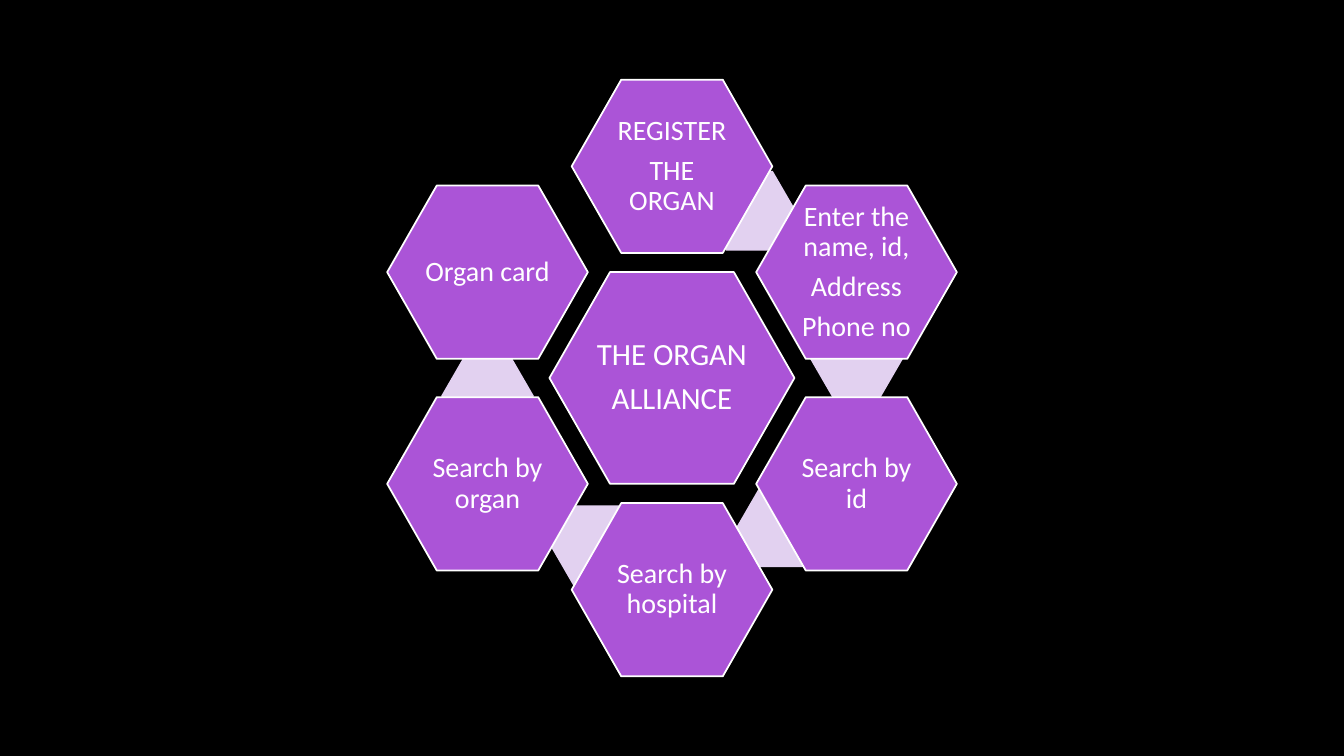
from dataclasses import dataclass

from pptx import Presentation
from pptx.dml.color import RGBColor
from pptx.enum.shapes import MSO_SHAPE
from pptx.enum.text import MSO_ANCHOR, PP_ALIGN
from pptx.util import Inches, Pt


@dataclass(frozen=True)
class Theme:
    background: str = "000000"
    hexagon: str = "AB54D7"
    link: str = "E2D1F0"
    text: str = "FFFFFF"
    font: str = "Calibri"
    hub_size: int = 22
    step_size: int = 20
    outline: float = 1.25
    inset: float = 0.03


class HoneycombSlide:
    """Places hexagons on a grid of columns and rows around the slide's centre."""

    COLUMN, ROW = 1.83, 1.05

    def __init__(self, deck, theme):
        self.theme = theme
        self.page = deck.slides.add_slide(deck.slide_layouts[6])
        self.center_x = deck.slide_width / 2
        self.center_y = deck.slide_height / 2
        fill = self.page.background.fill
        fill.solid()
        fill.fore_color.rgb = RGBColor.from_string(theme.background)

    def hexagon(self, column, row, width, height, color, slant):
        left = self.center_x + Inches(column * self.COLUMN - width / 2)
        top = self.center_y + Inches(row * self.ROW - height / 2)
        box = self.page.shapes.add_shape(
            MSO_SHAPE.HEXAGON, int(left), int(top), Inches(width), Inches(height))
        box.adjustments[0] = slant
        box.shadow.inherit = False
        box.fill.solid()
        box.fill.fore_color.rgb = RGBColor.from_string(color)
        box.line.fill.background()
        return box

    def link(self, column, row):
        self.hexagon(column, row, 0.92, 0.79, self.theme.link, 0.289)

    def cell(self, column, row, lines, size, width=1.99, height=1.72):
        theme = self.theme
        box = self.hexagon(column, row, width, height, theme.hexagon, 0.286)
        box.line.color.rgb = RGBColor.from_string(theme.text)
        box.line.width = Pt(theme.outline)
        frame = box.text_frame
        frame.word_wrap = True
        frame.vertical_anchor = MSO_ANCHOR.MIDDLE
        frame.margin_left = frame.margin_right = Inches(theme.inset)
        frame.margin_top = frame.margin_bottom = Inches(theme.inset)
        frame.text = "\n".join(lines)
        for para in frame.paragraphs:
            para.alignment = PP_ALIGN.CENTER
            para.line_spacing = 0.9
            para.space_after = Pt(0.35 * size)
            para.font.name = theme.font
            para.font.size = Pt(size)
            para.font.color.rgb = RGBColor.from_string(theme.text)


# Steps run clockwise: column, row, lines, place of the link to the next step
STEPS = [
    (0, -2, ["REGISTER", "THE ORGAN"], (0.42, -1.58)),
    (1, -1, ["Enter the name, id,", "Address", "Phone no"], (1, -0.18)),
    (1, 1, ["Search by id"], (0.6, 1.41)),
    (0, 2, ["Search by hospital"], (-0.41, 1.58)),
    (-1, 1, ["Search by organ"], (-1, 0.17)),
    (-1, -1, ["Organ card"], None),
]


def main():
    deck = Presentation()
    deck.slide_width, deck.slide_height = Inches(13.33), Inches(7.5)
    theme = Theme()
    slide = HoneycombSlide(deck, theme)

    # Hub
    slide.cell(0, 0, ["THE ORGAN", "ALLIANCE"], theme.hub_size, 2.43, 2.1)

    # Ring of steps, each above the link that leaves it
    for column, row, lines, link in STEPS:
        if link:
            slide.link(*link)
        slide.cell(column, row, lines, theme.step_size)

    deck.save("out.pptx")


if __name__ == "__main__":
    main()
